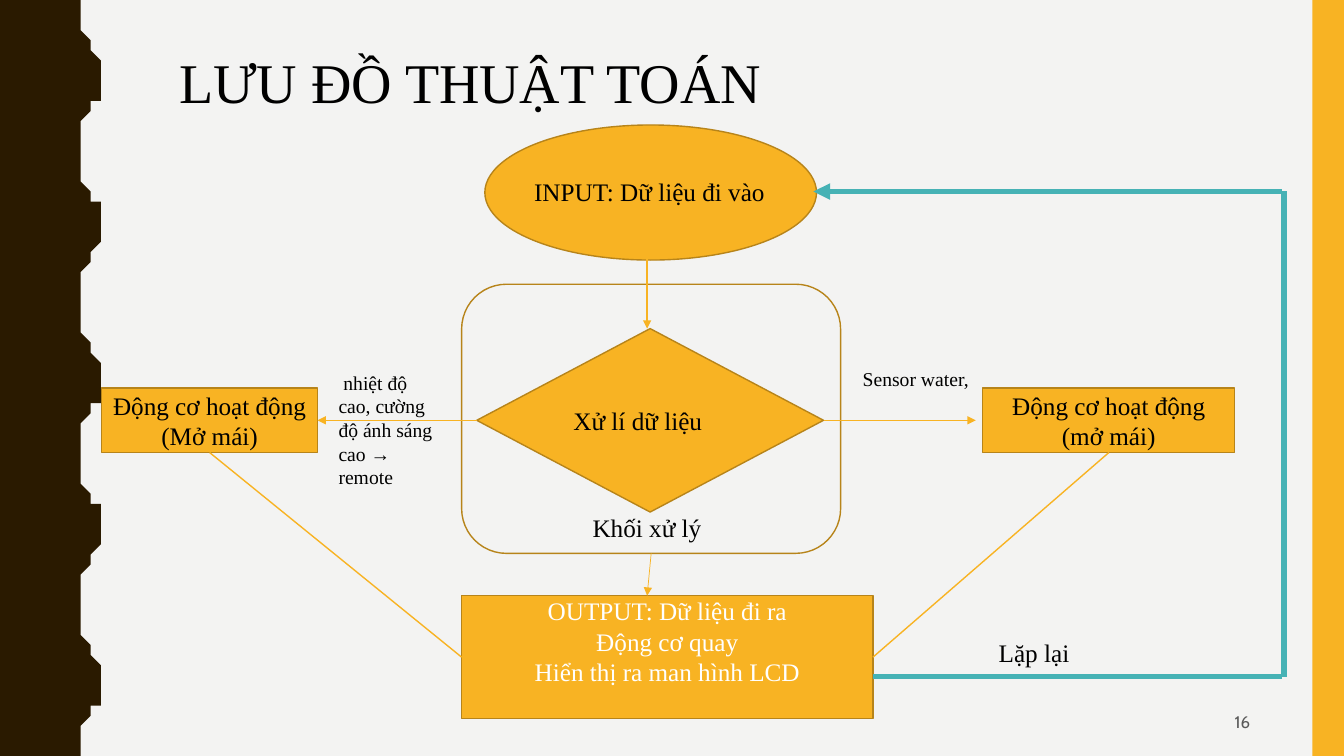
from pptx import Presentation
from pptx.dml.color import RGBColor
from pptx.enum.shapes import MSO_CONNECTOR, MSO_SHAPE
from pptx.enum.text import MSO_ANCHOR, MSO_AUTO_SIZE, PP_ALIGN
from pptx.oxml import parse_xml
from pptx.oxml.ns import nsdecls, qn
from pptx.util import Inches, Pt

RECT, OVAL = MSO_SHAPE.RECTANGLE, MSO_SHAPE.OVAL
ROUNDED, DECISION = MSO_SHAPE.ROUNDED_RECTANGLE, MSO_SHAPE.FLOWCHART_DECISION
STRAIGHT = MSO_CONNECTOR.STRAIGHT
LEFT, CENTER, RIGHT = PP_ALIGN.LEFT, PP_ALIGN.CENTER, PP_ALIGN.RIGHT
TOP, MIDDLE = MSO_ANCHOR.TOP, MSO_ANCHOR.MIDDLE
NO_FIT = MSO_AUTO_SIZE.NONE
COLS, ROWS = 133.33, 75
CELL = Inches(0.1)
SERIF, SANS = "Times New Roman", "Cabin"
AMBER, BRONZE, TEAL, BROWN = "F8B323", "B7841A", "46B2B5", "2A1A00"
PAPER, BLACK, WHITE, GREY = "F3F3F2", "000000", "FFFFFF", "595959"
WAVE = 15
RISE = [(7.8, 0), (7.8, 0.7), (7.9, 1.4), (8, 2), (8.1, 2.5), (8.3, 2.9), (8.5, 3.3),
        (8.7, 3.8), (8.9, 4.2), (9.1, 4.6), (9.3, 5), (9.5, 5.5), (9.6, 6.1), (9.7, 6.8)]


def rgb(hex_color):
    """Return the colour for a hex string."""
    return RGBColor.from_string(hex_color)


def grid(*cells):
    """Turn counts of grid cells into lengths."""
    return [round(n * CELL) for n in cells]


def write(shape, lines, size=18, color=BLACK, align=LEFT, anchor=TOP, font=SERIF):
    """Fill a shape with formatted paragraphs."""
    tf = shape.text_frame
    tf.auto_size, tf.word_wrap, tf.vertical_anchor = NO_FIT, True, anchor
    tf.text = "\n".join(lines)
    for p in tf.paragraphs:
        p.alignment = align
        p.font.size, p.font.name, p.font.color.rgb = Pt(size), font, rgb(color)


def paint(sp, fill, line=None):
    """Set the fill and outline of a shape and drop its shadow."""
    sp.shadow.inherit = False
    if fill:
        sp.fill.solid()
        sp.fill.fore_color.rgb = rgb(fill)
    else:
        sp.fill.background()
    if line:
        sp.line.color.rgb, sp.line.width = rgb(line), Pt(1)
    else:
        sp.line.fill.background()


def add_block(s, kind, box, fill=AMBER, line=BRONZE):
    """Add a preset shape on the grid."""
    sp = s.shapes.add_shape(kind, *grid(*box))
    paint(sp, fill, line)
    return sp


def add_label(s, box, text, **style):
    """Add a text box on the grid."""
    write(s.shapes.add_textbox(*grid(*box)), [text], **style)


def add_line(s, start, end, color=AMBER, width=1, arrow=False):
    """Connect two ends, each a grid point or a (shape, site) pair."""
    points = [(0, 0) if hasattr(e[0], "shape_id") else e for e in (start, end)]
    c = s.shapes.add_connector(STRAIGHT, *grid(*points[0], *points[1]))
    if hasattr(start[0], "shape_id"):
        c.begin_connect(*start)
    if hasattr(end[0], "shape_id"):
        c.end_connect(*end)
    c.line.color.rgb, c.line.width = rgb(color), Pt(width)
    if arrow:
        ln = c.line._get_or_add_ln()
        ln.append(parse_xml(f'<a:tailEnd {nsdecls("a")} type="triangle"/>'))
    c._element.spPr.append(c._element.makeelement(qn("a:effectLst"), {}))


def add_wave_band(s):
    """Draw the dark band with a wavy right edge."""
    wave = RISE + [(9.7, WAVE / 2)] + [(x, WAVE - y) for x, y in reversed(RISE)]
    edge = [(x, y + i * WAVE) for i in range(ROWS // WAVE) for x, y in wave]
    fb = s.shapes.build_freeform(0, 0, scale=CELL)
    fb.add_line_segments(edge + [(0, ROWS)], close=True)
    paint(fb.convert_to_shape(), BROWN)


def add_title(s, text):
    """Place and format the title."""
    title = s.shapes.title
    title.left, title.top, title.width, title.height = grid(16.8, 4.2, 96.7, 7.7)
    write(title, [text], size=40)


def add_flow(s):
    """Draw the flowchart blocks, arrows and labels."""
    add_block(s, OVAL, (48.1, 12.4, 32.9, 13.4))
    decision = add_block(s, DECISION, (47.3, 32.6, 34.4, 18.2))
    left_motor = add_block(s, RECT, (10.1, 38.5, 21.4, 6.4))
    right_motor = add_block(s, RECT, (97.5, 38.5, 25, 6.4))
    process = add_block(s, ROUNDED, (45.8, 28.2, 37.6, 26.7), fill=None)
    output = add_block(s, RECT, (45.8, 59.1, 40.8, 12.2))
    write(left_motor, ["Động cơ hoạt động (Mở mái)"], align=CENTER, anchor=MIDDLE)
    write(right_motor, ["Động cơ hoạt động", "(mở mái)"], align=CENTER, anchor=MIDDLE)
    write(output, ["OUTPUT: Dữ liệu đi ra", "Động cơ quay", "Hiển thị ra man hình LCD"],
          color=WHITE, align=CENTER)
    output.text_frame.margin_top = 0

    add_line(s, (64.2, 25.7), (64.2, 32.6), arrow=True)
    add_line(s, (decision, 1), (left_motor, 3), width=0.5, arrow=True)
    add_line(s, (decision, 3), (96.8, 41.7), width=0.5, arrow=True)
    add_line(s, (process, 2), (64.2, 59.1), width=0.5, arrow=True)
    add_line(s, (left_motor, 2), (output, 1))
    add_line(s, (right_motor, 2), (output, 3))
    add_line(s, (86.6, 67.1), (127.2, 67.1), TEAL, 4)
    add_line(s, (127.4, 67.2), (127.4, 19), TEAL, 4)
    add_line(s, (127.2, 19), (80.7, 19), TEAL, 4, arrow=True)

    add_label(s, (52, 17, 26.3, 4), "INPUT: Dữ liệu đi vào")
    add_label(s, (55.9, 39.7, 20, 4), "Xử lí dữ liệu")
    add_label(s, (57.8, 50.3, 22.9, 4), "Khối xử lý")
    add_label(s, (98.1, 62.7, 25.7, 4), "Lặp lại")
    add_label(s, (32.6, 36.3, 12.2, 12.8),
              " nhiệt độ cao, cường độ ánh sáng cao → remote", size=14)
    add_label(s, (84.6, 35.9, 13.1, 3.4), "Sensor water,", size=14)


def main():
    """Build and save the slide."""
    prs = Presentation()
    prs.slide_width, prs.slide_height = grid(COLS, ROWS)
    s = prs.slides.add_slide(prs.slide_layouts[5])
    s.background.fill.solid()
    s.background.fill.fore_color.rgb = rgb(PAPER)
    add_wave_band(s)
    add_block(s, RECT, (130.2, 0, COLS - 130.2, ROWS), line=None)
    add_title(s, "LƯU ĐỒ THUẬT TOÁN")
    add_flow(s)
    add_label(s, (94.2, 69.7, 30.8, 3.8), "16", size=12, color=GREY, align=RIGHT,
              anchor=MIDDLE, font=SANS)
    prs.save("out.pptx")


if __name__ == "__main__":
    main()
